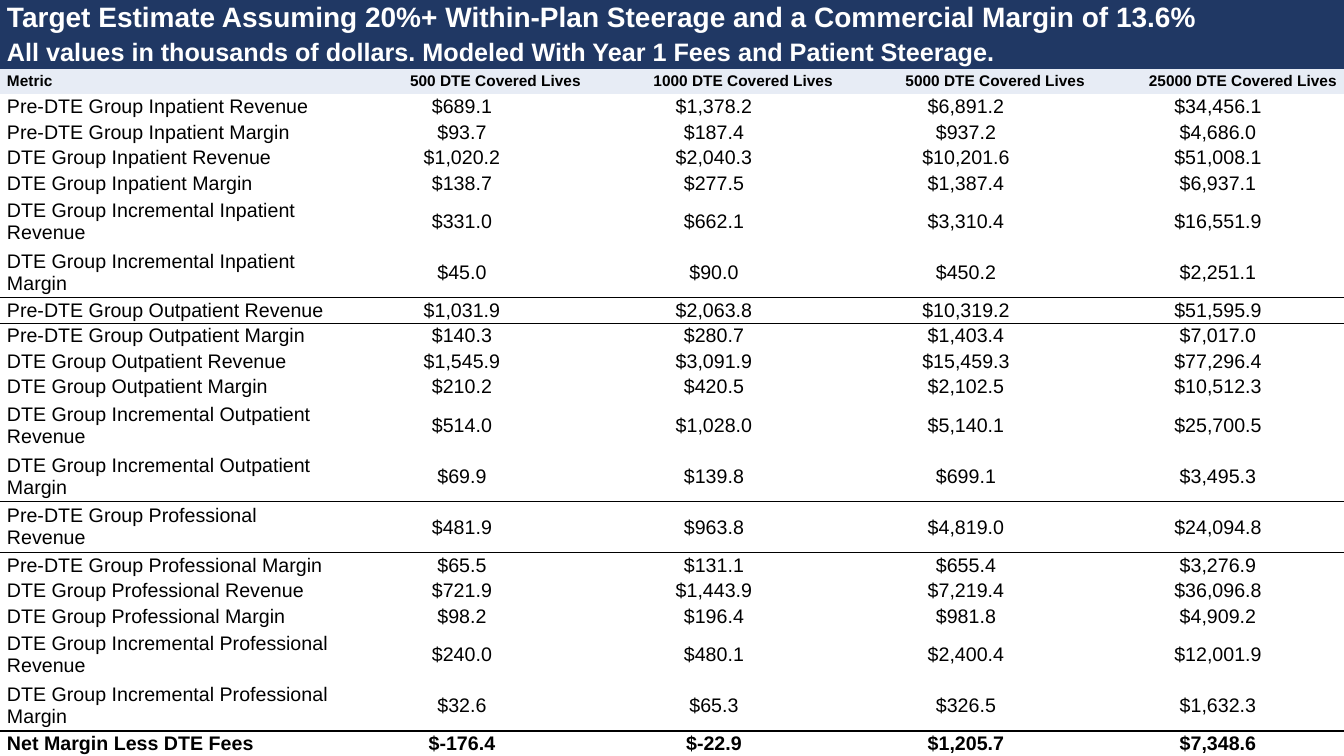
from lxml import etree
from pptx import Presentation
from pptx.dml.color import RGBColor
from pptx.enum import text
from pptx.oxml import ns
from pptx.util import Pt

NAVY = RGBColor(0x20, 0x38, 0x64)
PALE = RGBColor(0xE7, 0xEC, 0xF5)
WHITE = RGBColor(255, 255, 255)
BLACK = RGBColor(0, 0, 0)
PLAIN = "{2D5ABB26-0587-4C30-8999-92F81FD0307C}"  # no style, no grid
LEFT, MID, RIGHT = (text.PP_ALIGN.LEFT, text.PP_ALIGN.CENTER,
                    text.PP_ALIGN.RIGHT)

TITLES = [
    ("Target Estimate Assuming 20%+ Within-Plan Steerage "
     "and a Commercial Margin of 13.6%", 20, 26),
    ("All values in thousands of dollars. "
     "Modeled With Year 1 Fees and Patient Steerage.", 18, 23),
]
LIVES = [500, 1000, 5000, 25000]
GROUPS = ["Pre-DTE Group", "DTE Group", "DTE Group Incremental"]
CARE = {
    "Inpatient": [
        (689.1, 1378.2, 6891.2, 34456.1),
        (93.7, 187.4, 937.2, 4686.0),
        (1020.2, 2040.3, 10201.6, 51008.1),
        (138.7, 277.5, 1387.4, 6937.1),
        (331.0, 662.1, 3310.4, 16551.9),
        (45.0, 90.0, 450.2, 2251.1),
    ],
    "Outpatient": [
        (1031.9, 2063.8, 10319.2, 51595.9),
        (140.3, 280.7, 1403.4, 7017.0),
        (1545.9, 3091.9, 15459.3, 77296.4),
        (210.2, 420.5, 2102.5, 10512.3),
        (514.0, 1028.0, 5140.1, 25700.5),
        (69.9, 139.8, 699.1, 3495.3),
    ],
    "Professional": [
        (481.9, 963.8, 4819.0, 24094.8),
        (65.5, 131.1, 655.4, 3276.9),
        (721.9, 1443.9, 7219.4, 36096.8),
        (98.2, 196.4, 981.8, 4909.2),
        (240.0, 480.1, 2400.4, 12001.9),
        (32.6, 65.3, 326.5, 1632.3),
    ],
}
NET = (-176.4, -22.9, 1205.7, 7348.6)
ROW = 18.2   # height of a row with one line
WRAP = 33    # longest label that stays on one line


def metrics():
    """List each metric row as its label and its dollar texts."""
    rows = []
    for care, lines in CARE.items():
        names = [f"{group} {care} {kind}" for group in GROUPS
                 for kind in ("Revenue", "Margin")]
        rows += zip(names, lines)
    rows.append(("Net Margin Less DTE Fees", NET))
    return [[name] + [f"${value:,.1f}" for value in line]
            for name, line in rows]


def rule(cell, side):
    """Draw a 1 pt black border on one side of the cell."""
    line = etree.Element(ns.qn(f"a:{side}"), w=str(Pt(1)))
    fill = etree.SubElement(line, ns.qn("a:solidFill"))
    etree.SubElement(fill, ns.qn("a:srgbClr"), val=str(BLACK))
    cell._tc.get_or_add_tcPr().insert(0, line)


def write(cell, words, size, align=LEFT, bold=True, color=BLACK, fill=None):
    cell.margin_left = cell.margin_right = Pt(5)
    cell.margin_top = cell.margin_bottom = 0
    cell.vertical_anchor = text.MSO_ANCHOR.MIDDLE
    if fill is None:
        cell.fill.background()
    else:
        cell.fill.solid()
        cell.fill.fore_color.rgb = fill
    cell.text = words
    para = cell.text_frame.paragraphs[0]
    para.alignment = align
    font = para.font
    font.name, font.size, font.bold = "Arial", Pt(size), bold
    font.color.rgb = color


def grid(slide, left, top, width, height):
    """Place the whole table in the given box."""
    body = metrics()
    heads = ["Metric"] + [f"{count} DTE Covered Lives" for count in LIVES]
    first = len(TITLES) + 1
    table = slide.shapes.add_table(
        first + len(body), len(heads),
        Pt(left), Pt(top), Pt(width), Pt(height)).table
    table._tbl.tblPr.find(ns.qn("a:tableStyleId")).text = PLAIN
    table.first_row = table.horz_banding = False
    for col, column in enumerate(table.columns):
        column.width = Pt(width / 4 if col == 0 else width * 3 / 16)

    for row, (words, size, tall) in enumerate(TITLES):
        table.rows[row].height = Pt(tall)
        for col in range(len(heads)):
            write(table.cell(row, col), "" if col else words, size,
                  color=WHITE, fill=NAVY)
        table.cell(row, 0).merge(table.cell(row, len(heads) - 1))

    table.rows[first - 1].height = Pt(ROW)
    for col, words in enumerate(heads):
        write(table.cell(first - 1, col), words, 11,
              RIGHT if col else LEFT, fill=PALE)

    block = 2 * len(GROUPS)
    for num, line in enumerate(body):
        table.rows[first + num].height = Pt(
            2 * ROW if len(line[0]) > WRAP else ROW)
        for col, words in enumerate(line):
            cell = table.cell(first + num, col)
            write(cell, words, 14, MID if col else LEFT,
                  bold=num == len(body) - 1)
            if num and num % block == 0:
                rule(cell, "lnT")
            if num % block == block - 1:
                rule(cell, "lnB")


def main():
    deck = Presentation()
    deck.slide_width, deck.slide_height = Pt(960), Pt(540)
    grid(deck.slides.add_slide(deck.slide_layouts[6]), 0, 0, 960, 540)
    deck.save("out.pptx")


if __name__ == "__main__":
    main()
